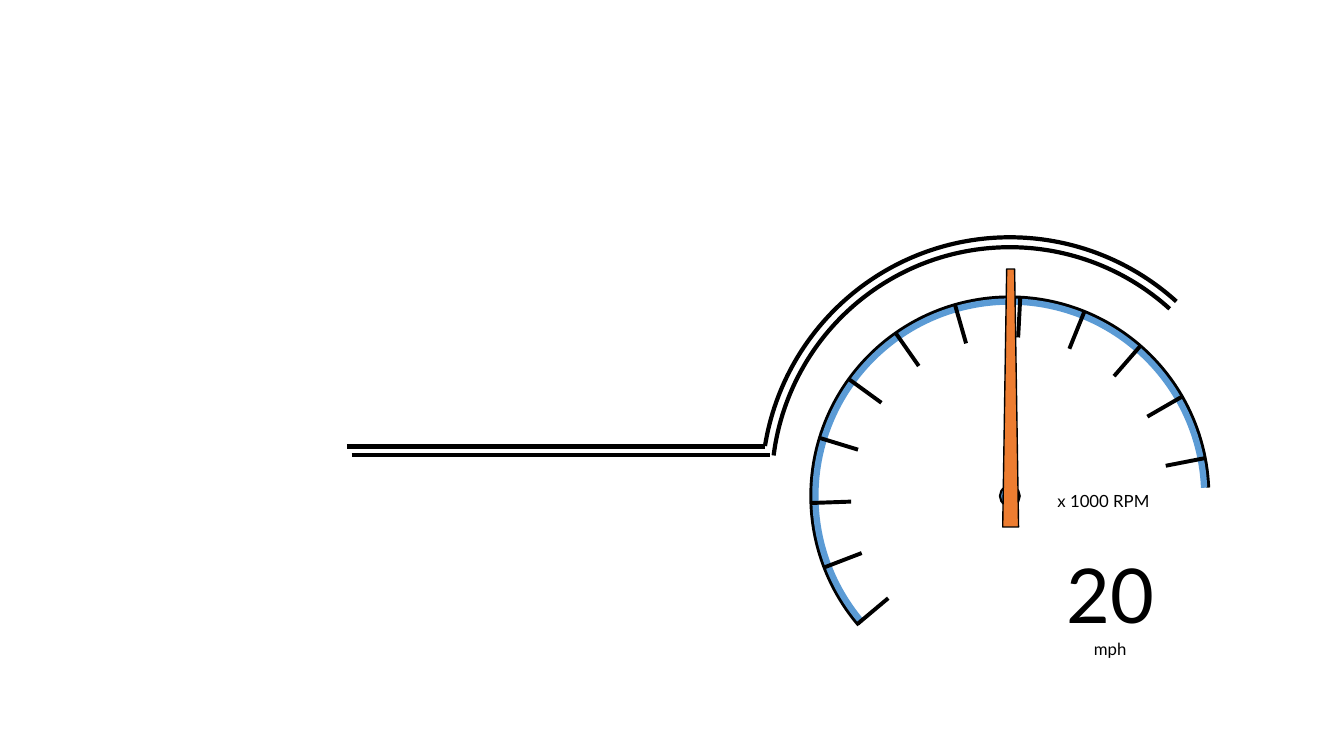
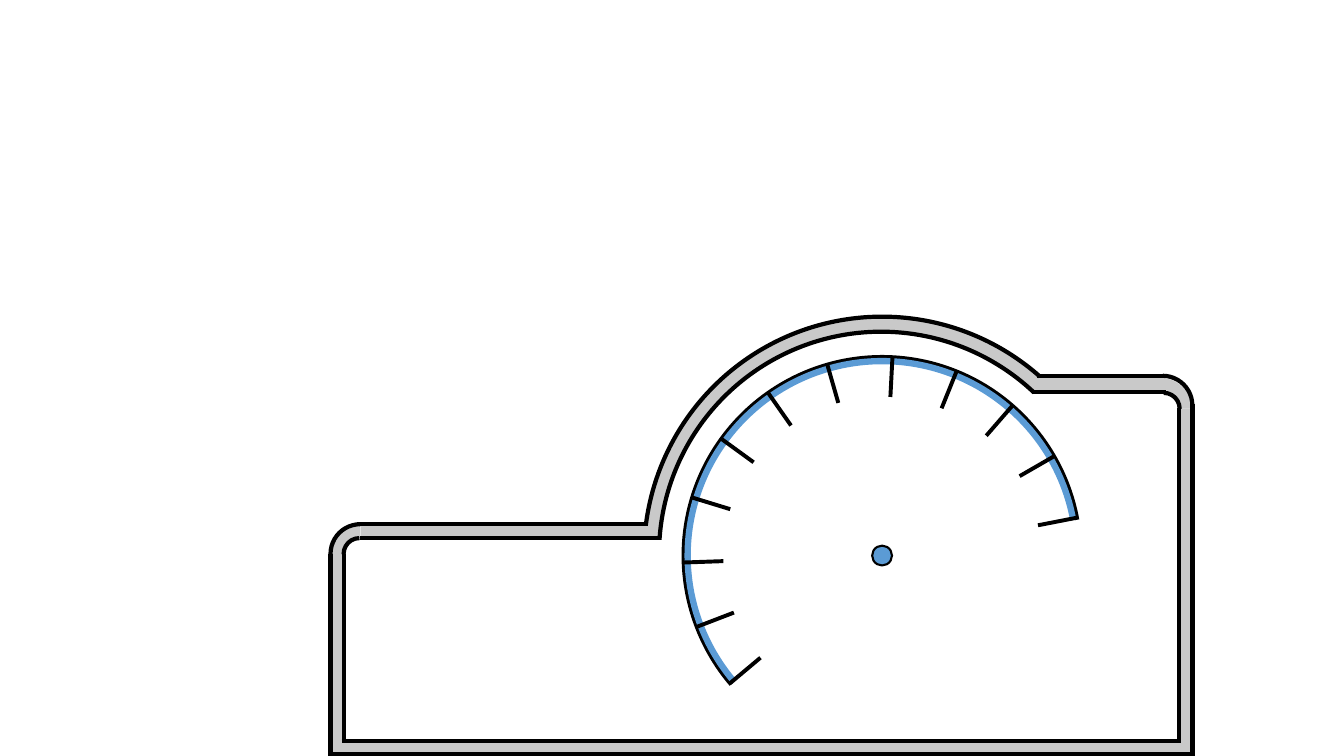
from math import cos, radians, sin

from lxml.etree import SubElement
from pptx import Presentation
from pptx.dml.color import RGBColor
from pptx.enum.shapes import MSO_CONNECTOR, MSO_SHAPE
from pptx.enum.text import MSO_AUTO_SIZE, PP_ALIGN
from pptx.oxml.ns import qn
from pptx.util import Cm, Pt

INK = {
    "black": "000000",
    "blue": "5B9BD5",
    "needle": "ED7D31",
    "frame": "C9C9C9",
}
FONT = "Lato"


def shape(slide, kind, x, y, w, h, fill=None, line=None, width=3, arc=None):
    item = slide.shapes.add_shape(kind, Cm(x), Cm(y), Cm(w), Cm(h))
    item.shadow.inherit = False
    if fill:
        item.fill.solid()
        item.fill.fore_color.rgb = RGBColor.from_string(INK[fill])
    else:
        item.fill.background()
    if line:
        item.line.color.rgb = RGBColor.from_string(INK[line])
        item.line.width = Pt(width)
    else:
        item.line.fill.background()
    if arc:
        for i, angle in enumerate(arc):
            item.adjustments[i] = angle * 0.6
    return item


def rule(slide, x1, y1, x2, y2):
    item = slide.shapes.add_connector(
        MSO_CONNECTOR.STRAIGHT, Cm(x1), Cm(y1), Cm(x2), Cm(y2))
    item.line.color.rgb = RGBColor.from_string(INK["black"])
    item.line.width = Pt(3)
    SubElement(item._element.spPr, qn("a:effectLst"))


deck = Presentation()
deck.slide_width = Cm(33.87)
deck.slide_height = Cm(19.05)
first, last = [deck.slides.add_slide(deck.slide_layouts[6]) for _ in range(2)]

for slide, cx, cy, ends in [
    (first, 25.45, 12.5, (357.57, 357.57)),
    (last, 22.23, 14, (349.6, 348.6)),
]:
    for d, start, end, ink, width in [
        (10, 139.48, ends[0], "black", 3),
        (9.8, 139.75, ends[1], "blue", 4.5),
    ]:
        shape(slide, MSO_SHAPE.ARC, cx - d / 2, cy - d / 2, d, d,
              line=ink, width=width, arc=(start, end))
    shape(slide, MSO_SHAPE.OVAL, cx - 0.25, cy - 0.25, 0.5, 0.5,
          "blue", "black", 1.5)
    if slide is first:
        shape(slide, MSO_SHAPE.TRAPEZOID, cx - 0.18, 6.78, 0.4, 6.5,
              "needle", "black", 1)
    for i in range(12):
        turn = 230 + 19 * i
        x = cx + 4.5 * sin(radians(turn))
        y = cy - 4.5 * cos(radians(turn))
        tick = shape(slide, MSO_SHAPE.RECTANGLE, x - 0.05, y - 0.5, 0.1, 1,
                     "black")
        tick.rotation = turn % 360

for x, y, h, rows in [
    (25.98, 13.69, 3.2, [("20", 54), ("mph", 12)]),
    (25.81, 12.24, 0.77, [("x 1000 RPM", 12)]),
]:
    frame = first.shapes.add_textbox(Cm(x), Cm(y), Cm(4), Cm(h)).text_frame
    frame.word_wrap = True
    frame.auto_size = MSO_AUTO_SIZE.SHAPE_TO_FIT_TEXT
    for i, (text, size) in enumerate(rows):
        para = frame.add_paragraph() if i else frame.paragraphs[0]
        para.alignment = PP_ALIGN.CENTER
        run = para.add_run()
        run.text = text
        run.font.name = FONT
        run.font.size = Pt(size)
        run.font.color.rgb = RGBColor.from_string(INK["black"])

for x, y, d, start in [(8.86, 11.46, 12, 187.2), (8.74, 11.25, 12.5, 189.12)]:
    rule(first, x, y, x + 10.54, y)
    shape(first, MSO_SHAPE.ARC, 25.45 - d / 2, 12.23 - d / 2, d, d,
          line="black", arc=(start, 312.17))

for x, y, w, h in [
    (29.72, 10.29, 0.36, 8.79),
    (8.34, 14.01, 0.3, 5),
    (9.09, 13.26, 7.52, 0.3),
    (26.06, 9.53, 3.3, 0.36),
    (8.64, 18.67, 21.36, 0.3),
]:
    shape(last, MSO_SHAPE.RECTANGLE, x, y, w, h, "frame")

for x, y, d, start, end, thick in [
    (16.23, 7.98, 12, 184.37, 313.25, 0.033),
    (8.33, 13.26, 1.5, 179, 269.48, 0.2),
    (28.52, 9.53, 1.5, 270.52, 1, 0.2),
]:
    band = shape(last, MSO_SHAPE.BLOCK_ARC, x, y, d, d, "frame",
                 arc=(start, end))
    band.adjustments[2] = thick

for x, y, d, start, end in [
    (16.23, 7.98, 12, 187.2, 311.55),
    (16.61, 8.36, 11.2, 183.69, 313.43),
    (8.33, 13.21, 1.5, 179.54, 269.72),
    (8.66, 13.56, 0.8, 179.54, 269.72),
    (28.55, 9.47, 1.5, 270.28, 0.46),
    (28.93, 9.9, 0.8, 270.28, 0.46),
]:
    shape(last, MSO_SHAPE.ARC, x, y, d, d, line="black", arc=(start, end))

for ends in [
    (8.99, 13.21, 16.33, 13.21),
    (9.07, 13.56, 16.66, 13.56),
    (8.33, 13.97, 8.33, 19.08),
    (8.66, 13.97, 8.66, 18.67),
    (26.14, 9.47, 29.36, 9.47),
    (26.04, 9.88, 29.39, 9.88),
    (30.05, 10.19, 30.05, 19.1),
    (29.72, 10.29, 29.72, 18.72),
    (8.33, 19, 30.07, 19),
    (8.61, 18.67, 29.72, 18.67),
]:
    rule(last, *ends)

deck.save("out.pptx")
